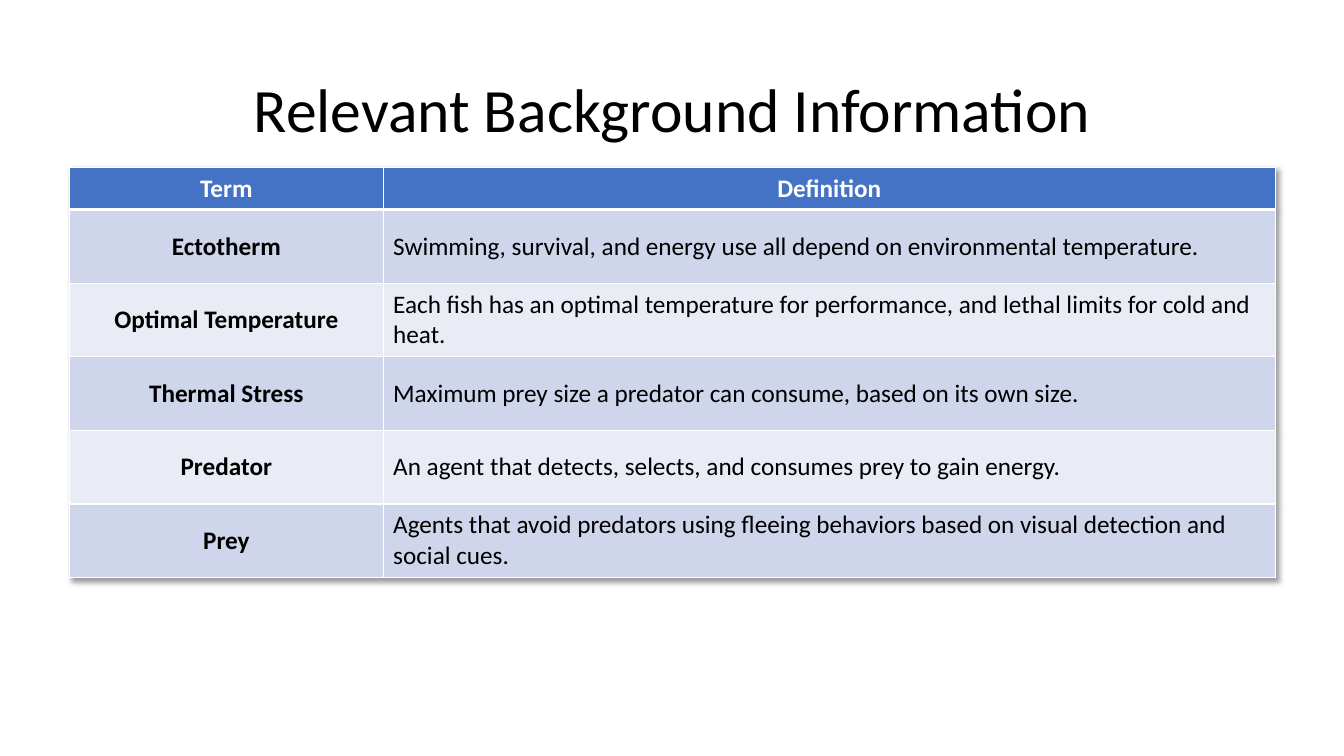
from typing import NamedTuple

from lxml.etree import SubElement
from pptx import Presentation
from pptx.dml.color import RGBColor
from pptx.enum.text import MSO_ANCHOR, MSO_AUTO_SIZE, PP_ALIGN
from pptx.oxml.ns import qn
from pptx.slide import Slide
from pptx.table import Table, _Cell
from pptx.text.text import TextFrame
from pptx.util import Inches, Pt

FONT = "Calibri"
BLACK = RGBColor(0x00, 0x00, 0x00)
WHITE = RGBColor(0xFF, 0xFF, 0xFF)
HEADER_BLUE = RGBColor(0x44, 0x72, 0xC4)
BAND_FILLS = (RGBColor(0xCF, 0xD5, 0xEA), RGBColor(0xE9, 0xEB, 0xF5))

COLUMN_WIDTHS = (3.11, 8.85)
HEADER_HEIGHT = 0.42
ENTRY_HEIGHT = 0.73
THIN, THICK = 1, 3


class Entry(NamedTuple):
    term: str
    definition: str


HEADER = Entry("Term", "Definition")
ENTRIES = (
    Entry("Ectotherm",
          "Swimming, survival, and energy use all depend on environmental temperature."),
    Entry("Optimal Temperature",
          "Each fish has an optimal temperature for performance, "
          "and lethal limits for cold and heat."),
    Entry("Thermal Stress",
          "Maximum prey size a predator can consume, based on its own size."),
    Entry("Predator",
          "An agent that detects, selects, and consumes prey to gain energy."),
    Entry("Prey",
          "Agents that avoid predators using fleeing behaviors "
          "based on visual detection and social cues."),
)


def write_text(frame: TextFrame, text: str, size: float, color: RGBColor,
               bold: bool, align: PP_ALIGN) -> None:
    frame.text = text
    paragraph = frame.paragraphs[0]
    paragraph.alignment = align
    font = paragraph.runs[0].font
    font.name, font.size, font.bold = FONT, Pt(size), bold
    font.color.rgb = color


def set_borders(cell: _Cell, top: float, bottom: float) -> None:
    properties = cell._tc.get_or_add_tcPr()
    widths = {"a:lnL": THIN, "a:lnR": THIN, "a:lnT": top, "a:lnB": bottom}
    for index, (tag, width) in enumerate(widths.items()):
        line = SubElement(properties, qn(tag), w=str(Pt(width)))
        fill = SubElement(line, qn("a:solidFill"))
        SubElement(fill, qn("a:srgbClr"), val=str(WHITE))
        properties.insert(index, line)  # borders precede the cell fill


def add_table_shadow(table: Table) -> None:
    properties = table._tbl.tblPr
    effects = SubElement(properties, qn("a:effectLst"))
    shadow = SubElement(effects, qn("a:outerShdw"), blurRad=str(Pt(4)),
                        dist=str(Pt(3)), dir="2700000", algn="tl", rotWithShape="0")
    color = SubElement(shadow, qn("a:srgbClr"), val=str(BLACK))
    SubElement(color, qn("a:alpha"), val="40000")
    properties.insert(0, effects)


def add_title(slide: Slide) -> None:
    title = slide.shapes.title
    title.left, title.top = Inches(0.92), Inches(0.39)
    title.width, title.height = Inches(11.5), Inches(1.45)
    frame = title.text_frame
    frame.auto_size = MSO_AUTO_SIZE.NONE
    frame.vertical_anchor = MSO_ANCHOR.MIDDLE
    write_text(frame, "Relevant Background Information", 44, BLACK, False, PP_ALIGN.CENTER)
    frame.paragraphs[0].line_spacing = 0.9


def add_glossary(slide: Slide) -> None:
    rows = (HEADER, *ENTRIES)
    height = HEADER_HEIGHT + ENTRY_HEIGHT * len(ENTRIES)
    glossary = slide.shapes.add_table(
        len(rows), len(COLUMN_WIDTHS), Inches(0.69), Inches(1.66),
        Inches(sum(COLUMN_WIDTHS)), Inches(height)).table
    add_table_shadow(glossary)
    for column, width in zip(glossary.columns, COLUMN_WIDTHS):
        column.width = Inches(width)

    for row_index, entry in enumerate(rows):
        is_header = row_index == 0
        glossary.rows[row_index].height = Inches(HEADER_HEIGHT if is_header else ENTRY_HEIGHT)
        for column_index, text in enumerate(entry):
            cell = glossary.cell(row_index, column_index)
            emphasized = is_header or column_index == 0
            cell.vertical_anchor = MSO_ANCHOR.MIDDLE
            cell.fill.solid()
            cell.fill.fore_color.rgb = (
                HEADER_BLUE if is_header else BAND_FILLS[(row_index - 1) % 2])
            write_text(cell.text_frame, text, 18, WHITE if is_header else BLACK,
                       emphasized, PP_ALIGN.CENTER if emphasized else PP_ALIGN.LEFT)
            set_borders(cell, top=THICK if row_index == 1 else THIN,
                        bottom=THICK if is_header else THIN)


def main() -> None:
    presentation = Presentation()
    presentation.slide_width, presentation.slide_height = Inches(13.33), Inches(7.5)
    slide = presentation.slides.add_slide(presentation.slide_layouts[5])
    add_title(slide)
    add_glossary(slide)
    presentation.save("out.pptx")


if __name__ == "__main__":
    main()
